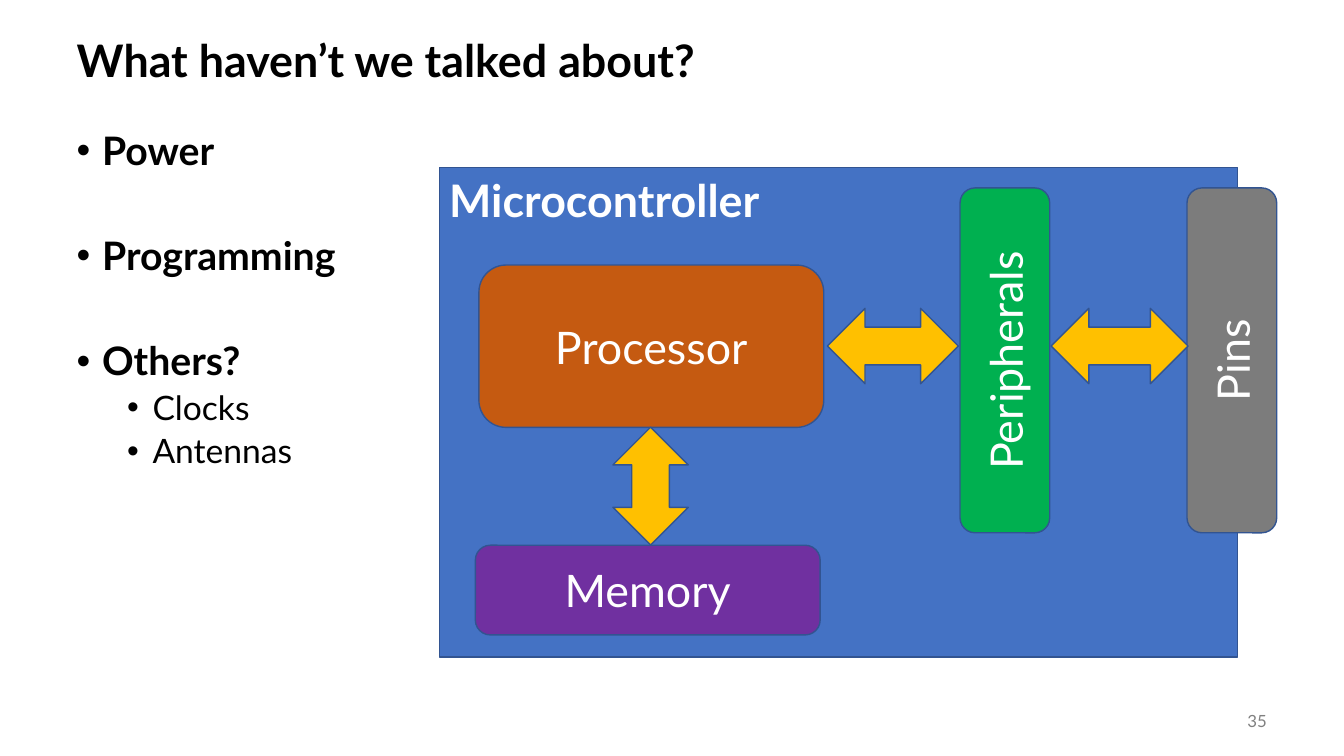
from lxml import etree
from pptx import Presentation
from pptx.dml.color import RGBColor
from pptx.enum.shapes import MSO_SHAPE
from pptx.enum.text import MSO_ANCHOR, MSO_AUTO_SIZE, PP_ALIGN
from pptx.oxml.ns import qn
from pptx.util import Cm, Pt

RECT, ROUND, ARROW = MSO_SHAPE.RECTANGLE, MSO_SHAPE.ROUNDED_RECTANGLE, MSO_SHAPE.LEFT_RIGHT_ARROW
TOP, MIDDLE = MSO_ANCHOR.TOP, MSO_ANCHOR.MIDDLE
LEFT, CENTER, RIGHT = PP_ALIGN.LEFT, PP_ALIGN.CENTER, PP_ALIGN.RIGHT
NO_FIT = MSO_AUTO_SIZE.NONE

BLACK = RGBColor(0x00, 0x00, 0x00)
WHITE = RGBColor(0xFF, 0xFF, 0xFF)
PAGE_GREY = RGBColor(0x80, 0x80, 0x80)
BLUE = RGBColor(0x44, 0x72, 0xC4)
OUTLINE = RGBColor(0x32, 0x54, 0x91)
ORANGE = RGBColor(0xC5, 0x5A, 0x11)
PURPLE = RGBColor(0x70, 0x30, 0xA0)
GREEN = RGBColor(0x00, 0xB0, 0x50)
GREY = RGBColor(0x7C, 0x7C, 0x7C)
GOLD = RGBColor(0xFF, 0xC0, 0x00)
FONT = "Lato"


def write(p, text, size=32, color=WHITE, bold=False, align=LEFT, line=1.0, before=0):
    """Add formatted text to a paragraph."""
    p.alignment = align
    p.line_spacing = line
    p.space_before = Pt(before)
    r = p.add_run()
    r.text = text
    r.font.name = FONT
    r.font.size = Pt(size)
    r.font.bold = bold
    r.font.color.rgb = color


def place(sp, box, anchor):
    """Move a shape to a box in centimetres and set up its text frame."""
    sp.left, sp.top, sp.width, sp.height = [Cm(v) for v in box]
    tf = sp.text_frame
    tf.word_wrap = True
    tf.auto_size = NO_FIT
    tf.vertical_anchor = anchor
    return tf


def set_bullet(p, left, hanging):
    """Give a paragraph a round bullet and a hanging indent."""
    pPr = p._p.get_or_add_pPr()
    pPr.set("marL", str(Cm(left)))
    pPr.set("indent", str(-Cm(hanging)))
    etree.SubElement(pPr, qn("a:buFont")).set("typeface", "Arial")
    etree.SubElement(pPr, qn("a:buChar")).set("char", "•")


def add_title(s, box, text):
    """Fill the title placeholder."""
    tf = place(s.shapes.title, box, MIDDLE)
    write(tf.paragraphs[0], text, color=BLACK, bold=True, line=0.9)


def add_topics(s, box, topics):
    """Fill the body placeholder with topics and their subtopics."""
    tf = place(s.placeholders[1], box, TOP)
    for i, (topic, subtopics) in enumerate(topics):
        p = tf.add_paragraph() if i else tf.paragraphs[0]
        set_bullet(p, 0.64, 0.64)
        write(p, topic, size=28, color=BLACK, bold=True, line=0.9, before=45 if i else 0)
        for subtopic in subtopics:
            p = tf.add_paragraph()
            p.level = 1
            set_bullet(p, 1.91, 0.64)
            write(p, subtopic, size=24, color=BLACK, line=0.9, before=5)


def add_block(s, kind, box, fill, text="", rotation=0, anchor=MIDDLE, **fmt):
    """Draw an outlined block with an optional label."""
    sp = s.shapes.add_shape(kind, 0, 0, 0, 0)
    tf = place(sp, box, anchor)
    sp.rotation = rotation
    sp.shadow.inherit = False
    sp.fill.solid()
    sp.fill.fore_color.rgb = fill
    sp.line.color.rgb = OUTLINE
    sp.line.width = Pt(1)
    if text:
        write(tf.paragraphs[0], text, **fmt)


def add_microcontroller(s, box):
    """Draw the microcontroller with its parts and the arrows between them."""
    x, y = box[:2]
    add_block(s, RECT, box, BLUE, "Microcontroller", anchor=TOP, bold=True)
    parts = [
        ("Processor", 1, 2.46, 4.09, ORANGE, 0),
        ("Memory", 0.91, 9.52, 2.26, PURPLE, 0),
        ("Peripherals", 9.91, 3.73, 2.26, GREEN, 270),
        ("Pins", 15.63, 3.73, 2.26, GREY, 270),
    ]
    for name, dx, dy, height, fill, rotation in parts:
        add_block(s, ROUND, (x + dx, y + dy, 8.69, height), fill, name, rotation, align=CENTER)
    arrows = [(9.78, 3.55, 3.3, 0), (15.42, 3.55, 3.45, 0), (3.84, 7.08, 2.97, 90)]
    for dx, dy, length, rotation in arrows:
        add_block(s, ARROW, (x + dx, y + dy, length, 1.9), GOLD, rotation=rotation)


def add_page_number(s, box, number):
    """Write the page number."""
    tf = place(s.shapes.add_textbox(0, 0, 0, 0), box, MIDDLE)
    write(tf.paragraphs[0], number, size=12, color=PAGE_GREY, align=RIGHT)


def main():
    """Build the slide and save it."""
    prs = Presentation()
    prs.slide_width, prs.slide_height = Cm(33.87), Cm(19.05)
    s = prs.slides.add_slide(prs.slide_layouts[1])
    add_title(s, (1.68, 0.64, 30.48, 1.9), "What haven’t we talked about?")
    add_topics(s, (1.68, 3.18, 9.04, 13.97), [
        ("Power", []),
        ("Programming", []),
        ("Others?", ["Clocks", "Antennas"]),
    ])
    add_page_number(s, (29.64, 17.65, 2.54, 1.02), "35")
    add_microcontroller(s, (11.07, 4.22, 20.12, 12.34))
    prs.save("out.pptx")


if __name__ == "__main__":
    main()
